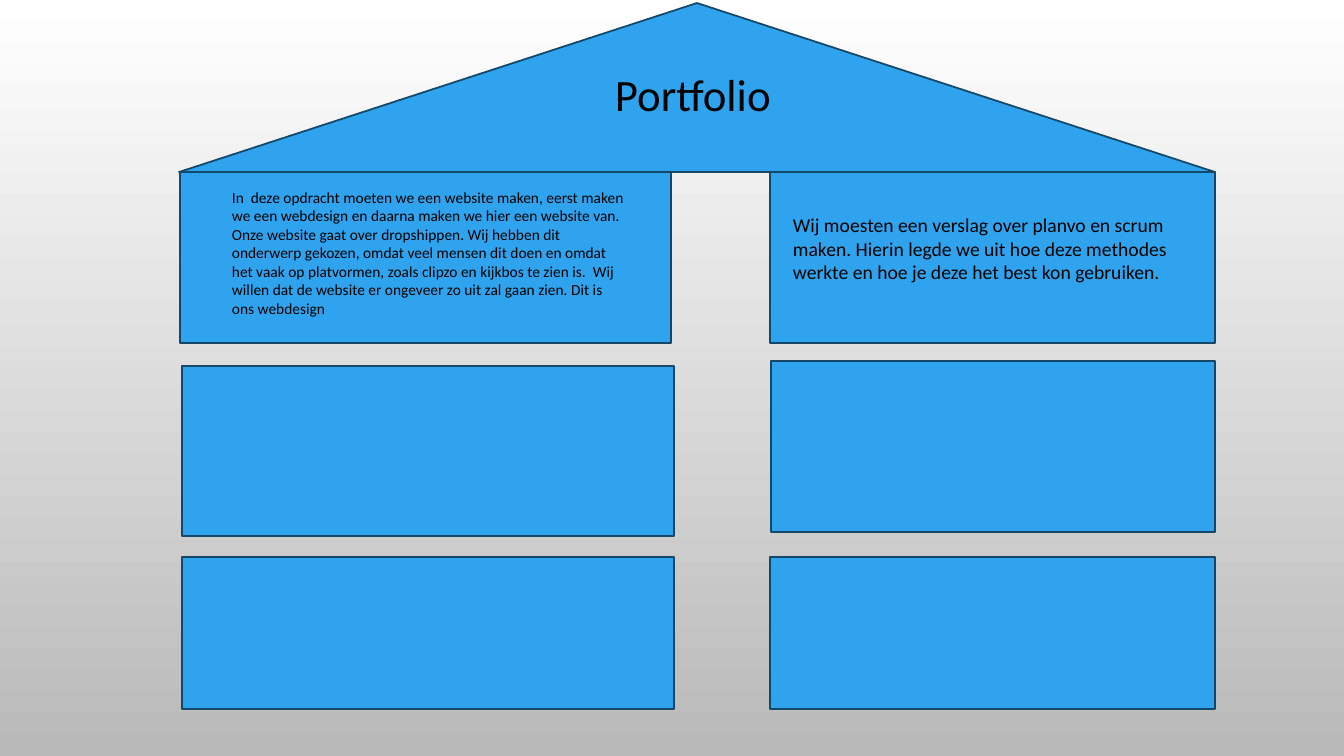
from dataclasses import dataclass

from pptx import Presentation
from pptx.dml.color import RGBColor
from pptx.enum.shapes import MSO_SHAPE
from pptx.util import Pt

ROOF = MSO_SHAPE.ISOSCELES_TRIANGLE
WALL = MSO_SHAPE.RECTANGLE
SCALE = 914400 / 100.8
BLANK = 6


@dataclass(frozen=True)
class Theme:
    """Colours, font and type sizes of the slide."""
    fill: str = "2FA3EE"
    edge: str = "154768"
    ink: str = "000000"
    top: str = "FFFFFF"
    base: str = "B9B9B9"
    font: str = "Calibri"
    line: float = 1.25
    title: int = 32
    large: int = 14
    small: int = 11


THEME = Theme()
TITLE = "Portfolio"
DESIGN = (
    "In  deze opdracht moeten we een website maken, eerst maken we een "
    "webdesign en daarna maken we hier een website van. Onze website gaat "
    "over dropshippen. Wij hebben dit onderwerp gekozen, omdat veel mensen "
    "dit doen en omdat het vaak op platvormen, zoals clipzo en kijkbos te "
    "zien is.  Wij willen dat de website er ongeveer zo uit zal gaan zien. "
    "Dit is ons webdesign"
)
REPORT = (
    "Wij moesten een verslag over planvo en scrum maken. Hierin legde we uit "
    "hoe deze methodes werkte en hoe je deze het best kon gebruiken."
)


def px(*sizes):
    """Turn px lengths into EMU."""
    return [round(size * SCALE) for size in sizes]


def rgb(code):
    """Turn a hex code into a colour."""
    return RGBColor.from_string(code)


def apply(target, values):
    """Set each attribute named in values on the target."""
    for name, value in values.items():
        setattr(target, name, value)


def block(slide, kind, box):
    """Draw one filled and outlined part of the house."""
    shape = slide.shapes.add_shape(kind, *px(*box))
    shape.shadow.inherit = False
    shape.fill.solid()
    shape.fill.fore_color.rgb = rgb(THEME.fill)
    shape.line.color.rgb = rgb(THEME.edge)
    shape.line.width = Pt(THEME.line)


def label(slide, box, text, size):
    """Write wrapped text in a box."""
    frame = slide.shapes.add_textbox(*px(*box)).text_frame
    frame.word_wrap = True
    run = frame.paragraphs[0].add_run()
    run.text = text
    apply(run.font, {"name": THEME.font, "size": Pt(size)})
    run.font.color.rgb = rgb(THEME.ink)


def sky(slide):
    """Fill the background with a vertical gradient."""
    fill = slide.background.fill
    fill.gradient()
    fill.gradient_angle = 270
    for stop, place, code in zip(fill.gradient_stops, (0, 1),
                                 (THEME.top, THEME.base)):
        stop.position = place
        stop.color.rgb = rgb(code)


def roof(slide, box):
    """Draw the roof with the title in it."""
    left, top, wide, high = box
    block(slide, ROOF, box)
    label(slide, (left + 426, top + 59, 239, 65), TITLE, THEME.title)


def column(slide, box, rows, note, text, size):
    """Stack walls given as shift, top, width and height, then add a note."""
    left, top, wide, high = box
    for shift, drop, grow, tall in rows:
        block(slide, WALL, (left + shift, top + drop, wide + grow, tall))
    shift, drop, width, tall = note
    label(slide, (left + shift, top + drop, width, tall), text, size)


def main():
    """Build the house slide and save it."""
    deck = Presentation()
    width, height = px(1344, 756)
    apply(deck, {"slide_width": width, "slide_height": height})
    slide = deck.slides.add_slide(deck.slide_layouts[BLANK])
    sky(slide)
    column(slide, (180, 172, 491, 537),
           ((0, 0, 0, 171), (2, 194, 1, 170), (2, 385, 1, 152)),
           (42, 11, 413, 141), DESIGN, THEME.small)
    column(slide, (770, 172, 445, 537),
           ((0, 0, 0, 171), (1, 189, -1, 171), (0, 385, 0, 152)),
           (13, 36, 421, 105), REPORT, THEME.large)
    roof(slide, (179, 3, 1036, 169))
    deck.save("out.pptx")


if __name__ == "__main__":
    main()
